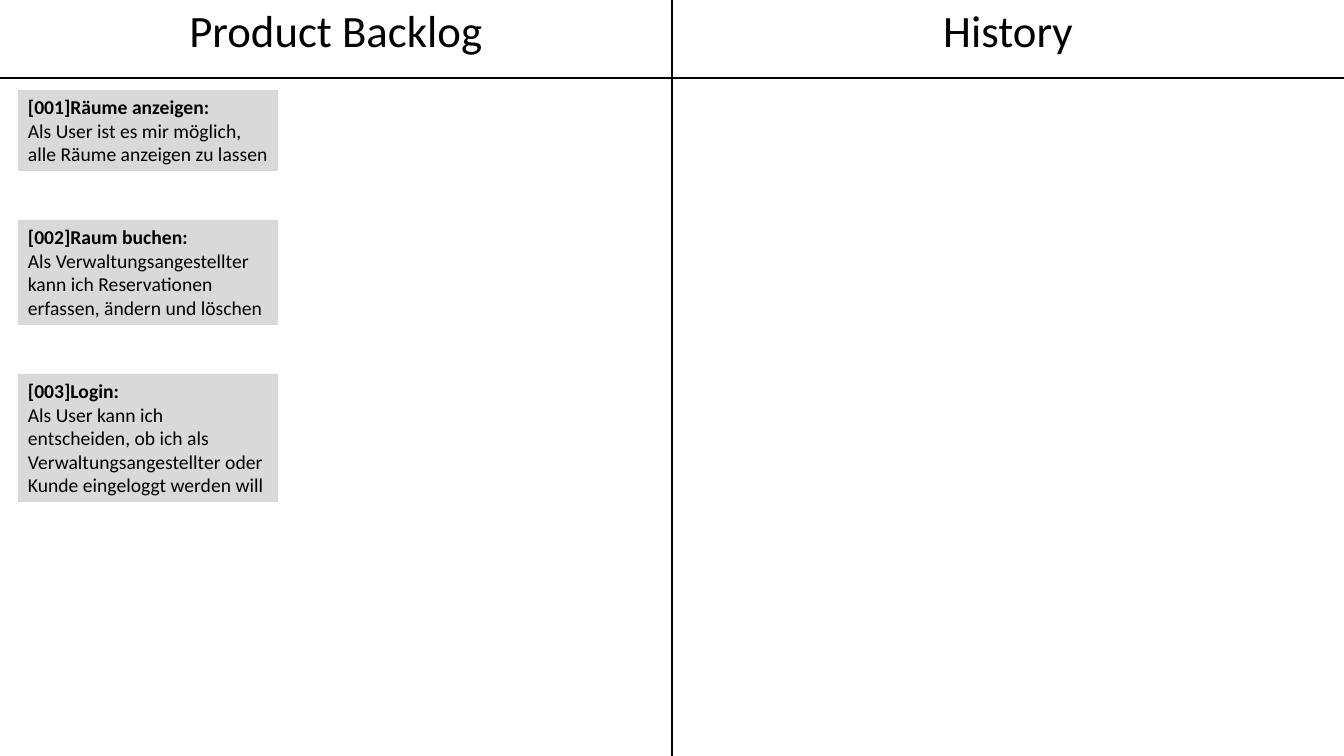
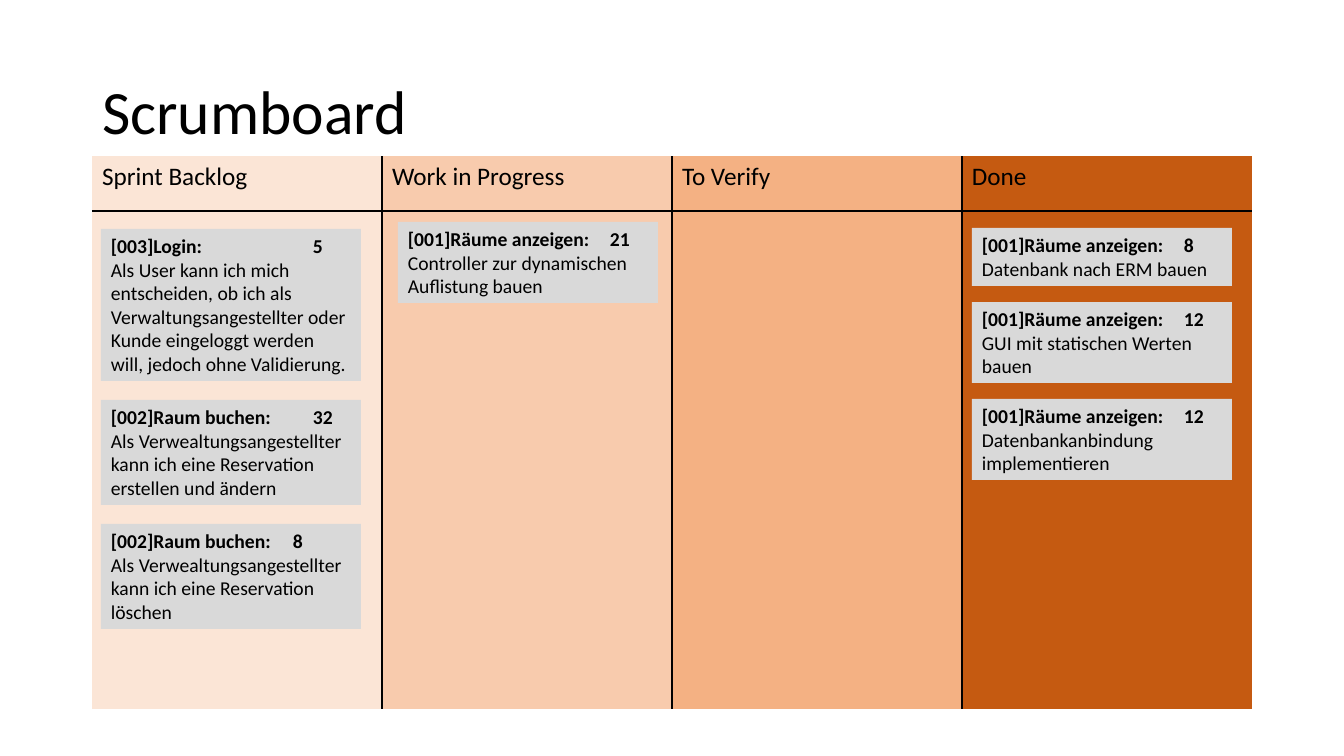
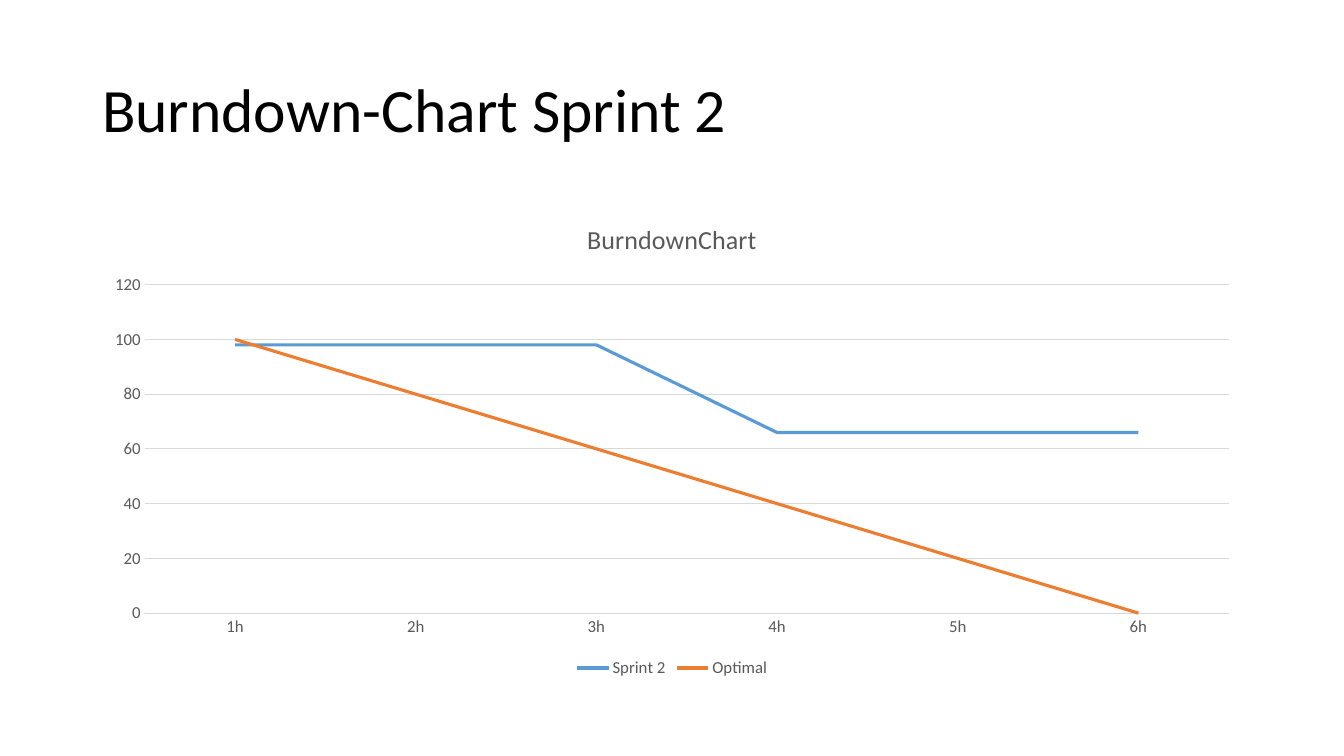
from lxml import etree
from pptx import Presentation
from pptx.chart.data import CategoryChartData
from pptx.dml.color import RGBColor
from pptx.enum.chart import XL_CHART_TYPE, XL_LEGEND_POSITION, XL_MARKER_STYLE, XL_TICK_MARK
from pptx.enum.shapes import MSO_SHAPE
from pptx.enum.text import MSO_ANCHOR, MSO_AUTO_SIZE, PP_ALIGN
from pptx.oxml.ns import qn
from pptx.util import Emu, Pt

LEFT, CENTER = PP_ALIGN.LEFT, PP_ALIGN.CENTER
TOP, MIDDLE = MSO_ANCHOR.TOP, MSO_ANCHOR.MIDDLE
GROW = MSO_AUTO_SIZE.SHAPE_TO_FIT_TEXT
RECT = MSO_SHAPE.RECTANGLE
LINE_CHART = XL_CHART_TYPE.LINE
LEGEND_BOTTOM = XL_LEGEND_POSITION.BOTTOM
NO_MARKER = XL_MARKER_STYLE.NONE
NO_TICK = XL_TICK_MARK.NONE
TITLE_ONLY, BLANK = 5, 6

FONT = "Calibri"
WIDTH, HEIGHT = 1344, 756
MARGIN, CONTENT_W = 92, 1160
CARD_W = 260
COLORS = {
    "text": "000000",
    "card": "D9D9D9",
    "muted": "595959",
    "grid": "D9D9D9",
    "backlog": "FBE5D6",
    "progress": "F8CBAD",
    "verify": "F4B183",
    "done": "C55A11",
    "blue": "5B9BD5",
    "orange": "ED7D31",
}


def px(n):
    return Emu(round(n * 914400 / 100.8))


def rgb(name):
    return RGBColor.from_string(COLORS[name])


class Deck:
    def __init__(self):
        self.prs = Presentation()
        self.prs.slide_width = px(WIDTH)
        self.prs.slide_height = px(HEIGHT)
        self.s = None

    def slide(self, layout):
        self.s = self.prs.slides.add_slide(self.prs.slide_layouts[layout])

    def font(self, font, size, color="text", bold=False):
        font.name = FONT
        font.size = Pt(size)
        font.bold = bold
        font.color.rgb = rgb(color)

    def paragraph(self, p, text, size, bold=False, align=LEFT):
        p.text = text
        p.alignment = align
        for r in p.runs:
            self.font(r.font, size, bold=bold)

    def title(self, text, y):
        sp = self.s.shapes.title
        sp.left, sp.top, sp.width, sp.height = px(MARGIN), px(y), px(CONTENT_W), px(146)
        sp.text_frame.vertical_anchor = MIDDLE
        p = sp.text_frame.paragraphs[0]
        self.paragraph(p, text, 44)
        p.line_spacing = 0.9

    def border(self, cell, side, visible):
        ln = etree.SubElement(cell._tc.get_or_add_tcPr(), qn(f"a:ln{side}"), w=str(Pt(1)))
        if visible:
            fill = etree.SubElement(ln, qn("a:solidFill"))
            etree.SubElement(fill, qn("a:srgbClr"), val=COLORS["text"])
        else:
            etree.SubElement(ln, qn("a:noFill"))

    def board(self, x, y, w, row_heights, headers, size, align=LEFT, fills=None):
        cols = len(headers)
        frame = self.s.shapes.add_table(2, cols, px(x), px(y), px(w), px(sum(row_heights)))
        table = frame.table
        table.first_row = table.horz_banding = False
        for row, h in zip(table.rows, row_heights):
            row.height = px(h)
        for c, header in enumerate(headers):
            table.columns[c].width = px(w / cols)
            self.paragraph(table.cell(0, c).text_frame.paragraphs[0], header, size, align=align)
            for r in range(2):
                cell = table.cell(r, c)
                inner = {"L": c > 0, "R": c < cols - 1, "T": r == 1, "B": r == 0}
                for side, visible in inner.items():
                    self.border(cell, side, visible)
                if fills:
                    cell.fill.solid()
                    cell.fill.fore_color.rgb = rgb(fills[c])
                else:
                    cell.fill.background()

    def card(self, x, y, h, heading, story, tab):
        sp = self.s.shapes.add_shape(RECT, px(x), px(y), px(CARD_W), px(h))
        sp.shadow.inherit = False
        sp.fill.solid()
        sp.fill.fore_color.rgb = rgb("card")
        sp.line.fill.background()
        tf = sp.text_frame
        tf.word_wrap = True
        tf.auto_size = GROW
        tf.vertical_anchor = TOP
        p = tf.paragraphs[0]
        self.paragraph(p, heading, 14, bold=True)
        if "\t" in heading:
            tabs = etree.SubElement(p._p.get_or_add_pPr(), qn("a:tabLst"))
            etree.SubElement(tabs, qn("a:tab"), pos=str(px(tab)), algn="l")
        self.paragraph(tf.add_paragraph(), story, 14)

    def cards(self, x, y, gap, items):
        for lines, heading, story, *tab in items:
            h = round(10.7 + 23.5 * lines)
            self.card(x, y, h, heading, story, tab[0] if tab else 202)
            y += h + gap

    def line_chart(self, x, y, w, h, title, categories, series):
        data = CategoryChartData()
        data.categories = categories
        for name, values, _ in series:
            data.add_series(name, values)
        chart = self.s.shapes.add_chart(LINE_CHART, px(x), px(y), px(w), px(h), data).chart
        self.font(chart.font, 12, "muted")
        chart.has_title = True
        p = chart.chart_title.text_frame.paragraphs[0]
        p.text = title
        self.font(p.runs[0].font, 18.6, "muted")
        chart.chart_title.include_in_layout = False
        chart.has_legend = True
        chart.legend.position = LEGEND_BOTTOM
        chart.legend.include_in_layout = False
        self.font(chart.legend.font, 12, "muted")
        for axis in (chart.category_axis, chart.value_axis):
            axis.major_tick_mark = axis.minor_tick_mark = NO_TICK
            self.font(axis.tick_labels.font, 12, "muted")
        chart.value_axis.minimum_scale = 0
        chart.value_axis.maximum_scale = 120
        chart.value_axis.major_unit = 20
        chart.value_axis.format.line.fill.background()
        for line in (chart.category_axis.format.line, chart.value_axis.major_gridlines.format.line):
            line.color.rgb = rgb("grid")
            line.width = Pt(0.75)
        plot = chart.plots[0]
        plot.vary_by_categories = False
        for ser, (_, _, color) in zip(plot.series, series):
            ser.smooth = False
            ser.marker.style = NO_MARKER
            ser.format.line.color.rgb = rgb(color)
            ser.format.line.width = Pt(2.25)


deck = Deck()

deck.slide(BLANK)
deck.board(0, 0, WIDTH, (78, 678), ("Product Backlog", "History"), 32, CENTER)
deck.cards(18, 90, 49, [
    (3, "[001]Räume anzeigen:", "Als User ist es mir möglich, alle Räume anzeigen zu lassen"),
    (4, "[002]Raum buchen:",
     "Als Verwaltungsangestellter kann ich Reservationen erfassen, ändern und löschen"),
    (5, "[003]Login:",
     "Als User kann ich entscheiden, ob ich als Verwaltungsangestellter oder Kunde "
     "eingeloggt werden will"),
])

deck.slide(TITLE_ONLY)
deck.title("Scrumboard", 42)
deck.board(MARGIN, 156, CONTENT_W, (55, 498),
           ("Sprint Backlog", "Work in Progress", "To Verify", "Done"), 18,
           fills=("backlog", "progress", "verify", "done"))
deck.cards(101, 229, 19, [
    (6, "[003]Login:\t5",
     "Als User kann ich mich entscheiden, ob ich als Verwaltungsangestellter oder Kunde "
     "eingeloggt werden will, jedoch ohne Validierung."),
    (4, "[002]Raum buchen:\t32",
     "Als Verwealtungsangestellter kann ich eine Reservation erstellen und ändern"),
    (4, "[002]Raum buchen:\t8",
     "Als Verwealtungsangestellter kann ich eine Reservation löschen", 182),
])
deck.cards(398, 222, 16, [
    (3, "[001]Räume anzeigen:\t21", "Controller zur dynamischen Auflistung bauen"),
])
deck.cards(972, 228, 16, [
    (2, "[001]Räume anzeigen:\t8", "Datenbank nach ERM bauen"),
    (3, "[001]Räume anzeigen:\t12", "GUI mit statischen Werten bauen"),
    (3, "[001]Räume anzeigen:\t12", "Datenbankanbindung implementieren"),
])

deck.slide(TITLE_ONLY)
deck.title("Burndown-Chart Sprint 2", 40)
deck.line_chart(MARGIN, 202, CONTENT_W, 480, "BurndownChart",
                [f"{hour}h" for hour in range(1, 7)],
                [("Sprint 2", (98, 98, 98, 66, 66, 66), "blue"),
                 ("Optimal", (100, 80, 60, 40, 20, 0), "orange")])

deck.prs.save("out.pptx")
